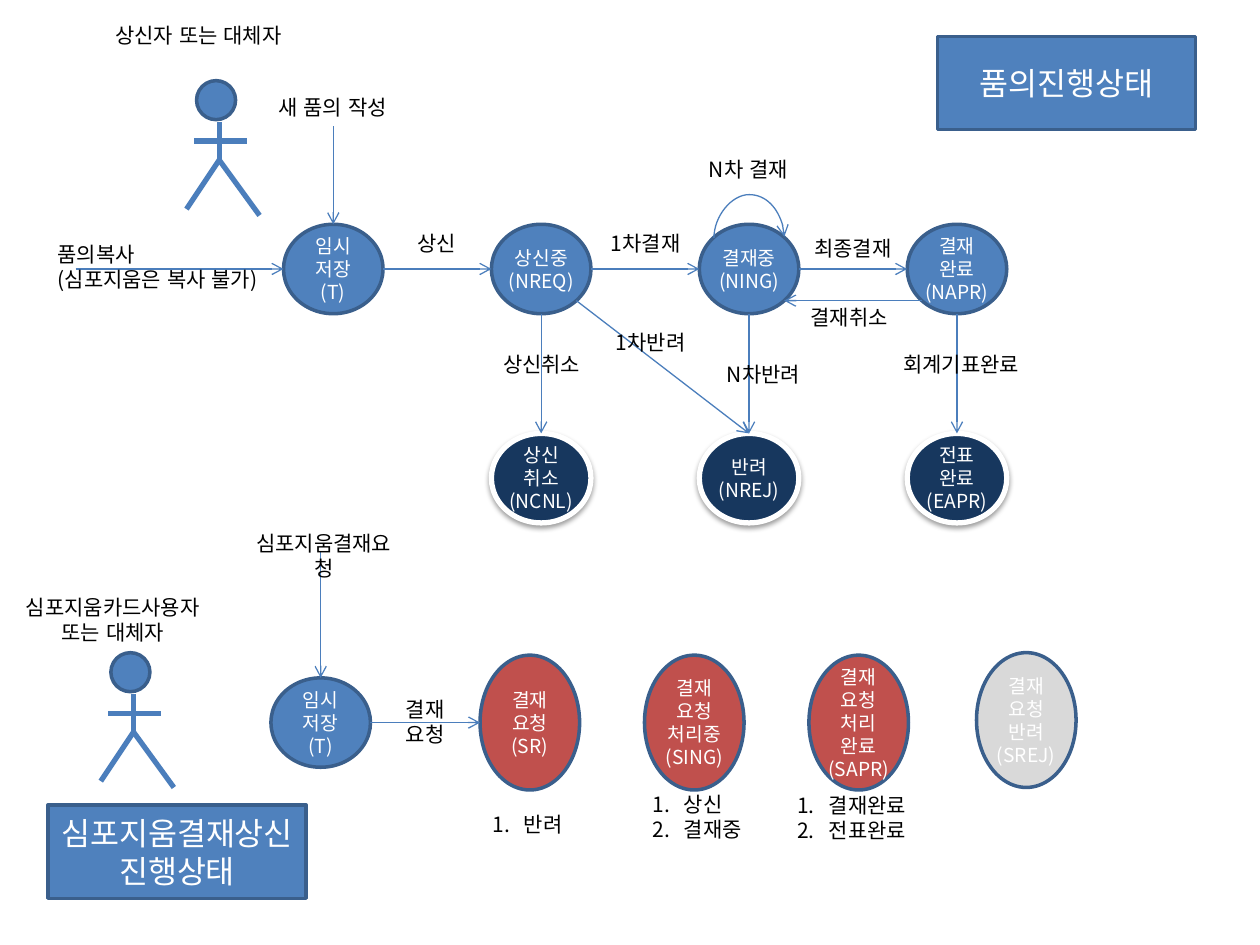
import math
import lxml.etree
import pptx
import pptx.dml.color
import pptx.enum.dml
import pptx.enum.lang
import pptx.enum.shapes
import pptx.enum.text
import pptx.oxml
import pptx.oxml.ns
import pptx.util

RGBColor = pptx.dml.color.RGBColor
BLUE = RGBColor(0x4F, 0x81, 0xBD)
OUTLINE = RGBColor(0x3A, 0x5F, 0x8C)
ARROW = RGBColor(0x4B, 0x7E, 0xBC)
NAVY = RGBColor(0x17, 0x37, 0x5E)
RED = RGBColor(0xC0, 0x50, 0x4D)
GRAY = RGBColor(0xD9, 0xD9, 0xD9)
WHITE = RGBColor(0xFF, 0xFF, 0xFF)
BLACK = RGBColor(0, 0, 0)
FONT = "Noto Sans CJK KR"
MAIN_ROW, END_ROW = 1.78, 3.44
COLUMNS = [2.25 + 1.65 * column for column in range(4)]
REQUEST_COLUMNS = [3.81 + 1.305 * column for column in range(3)]
REQUEST_ROW = 5.2
OVAL_WIDTH, OVAL_HEIGHT, TALL_HEIGHT = 0.79, 0.71, 1.07

STATES = {
    "draft": (["임시", "저장", "(T)"], COLUMNS[0], MAIN_ROW, OVAL_HEIGHT, BLUE),
    "requested": (["상신중", "(NREQ)"], COLUMNS[1], MAIN_ROW, OVAL_HEIGHT, BLUE),
    "approving": (["결재중", "(NING)"], COLUMNS[2], MAIN_ROW, OVAL_HEIGHT, BLUE),
    "approved": (["결재", "완료", "(NAPR)"], COLUMNS[3], MAIN_ROW, OVAL_HEIGHT, BLUE),
    "cancelled": (["상신", "취소", "(NCNL)"], COLUMNS[1], END_ROW, OVAL_HEIGHT, NAVY),
    "rejected": (["반려", "(NREJ)"], COLUMNS[2], END_ROW, OVAL_HEIGHT, NAVY),
    "posted": (["전표", "완료", "(EAPR)"], COLUMNS[3], END_ROW, OVAL_HEIGHT, NAVY),
    "symposium draft": (["임시", "저장", "(T)"], 2.15, 5.38, OVAL_HEIGHT, BLUE),
    "symposium request": (["결재", "요청", "(SR)"], REQUEST_COLUMNS[0], REQUEST_ROW, TALL_HEIGHT, RED),
    "symposium approving": (["결재", "요청", "처리중", "(SING)"], REQUEST_COLUMNS[1], REQUEST_ROW, TALL_HEIGHT, RED),
    "symposium approved": (["결재", "요청", "처리", "완료", "(SAPR)"], REQUEST_COLUMNS[2], REQUEST_ROW, TALL_HEIGHT, RED),
    "symposium rejected": (["결재", "요청", "반려", "(SREJ)"], 7.75, 5.18, TALL_HEIGHT, GRAY),
}
ANGLES = {"right": 0, "lower right": 45, "bottom": 90, "lower left": 135,
          "left": 180, "upper left": 225, "top": 270, "upper right": 315}
TRANSITIONS = [
    ("draft", "right", "requested", "left"),
    ("requested", "right", "approving", "left"),
    ("approving", "right", "approved", "left"),
    ("requested", "bottom", "cancelled", "top"),
    ("requested", "lower right", "rejected", "top"),
    ("approving", "bottom", "rejected", "top"),
    ("approved", "bottom", "posted", "top"),
    ("approved", "lower left", "approving", "lower right"),
    ("symposium draft", "right", "symposium request", "left"),
]
ENTRIES = [("draft", "left", 1.65), ("draft", "top", 0.78), ("symposium draft", "top", 1.0)]

LABELS = [
    ("상신자 또는 대체자", 0.72, 0.13, 1.71, 0.3),
    ("새 품의 작성", 1.97, 0.7, 1.34, 0.3),
    ("상신", 3.19, 1.78, 0.55, 0.3),
    ("1차결재", 4.69, 1.78, 0.87, 0.3),
    ("N차 결재", 5.31, 1.19, 1.26, 0.3),
    ("최종결재", 6.18, 1.82, 1.18, 0.3),
    ("결재취소", 6.15, 2.37, 1.18, 0.3),
    ("상신취소", 3.63, 2.74, 1.34, 0.3),
    ("1차반려", 4.76, 2.57, 0.81, 0.3),
    ("N차반려", 5.39, 2.82, 1.34, 0.3),
    ("회계기표완료", 6.96, 2.74, 1.34, 0.3),
    ("심포지움결재요청", 1.9, 4.16, 1.34, 0.5),
    ("심포지움카드사용자 또는 대체자", 0.04, 4.67, 1.71, 0.5),
    ("결재요청", 3.1, 5.48, 0.55, 0.5),
]
COPY_NOTE = (["품의복사", "(심포지움은 복사 불가)"], 0.36, 1.87, 1.94, 0.5)
NUMBERED_LISTS = [
    (["반려"], 3.81, 6.39, 0.79, 0.3),
    (["상신", "결재중"], 5.08, 6.23, 0.96, 0.5),
    (["결재완료", "전표완료"], 6.23, 6.24, 1.13, 0.5),
]
TITLES = [("품의진행상태", 7.44, 0.29), ("심포지움결재상신 진행상태", 0.38, 6.39)]
ACTORS = [(1.56, 0.64), (0.88, 5.18)]
LIMBS = [(-0.02, 0.48, 0.4, 0.48), (0.18, 0.63, 0.18, 0.33),
         (0.5, 1.07, 0.18, 0.63), (-0.08, 1.02, 0.18, 0.63)]

inches = pptx.util.Inches
CENTER = pptx.enum.text.PP_ALIGN.CENTER
presentation = pptx.Presentation()
presentation.slide_width, presentation.slide_height = inches(10), inches(7.5)
slide = presentation.slides.add_slide(presentation.slide_layouts[6])


def add_element(parent, tag, **attributes):
    element = lxml.etree.SubElement(parent, pptx.oxml.ns.qn(tag))
    for name, value in attributes.items():
        element.set(name, str(value))
    return element


def write_text(frame, lines, size, color, alignment=None, numbered=False):
    for index, line in enumerate(lines):
        paragraph = frame.add_paragraph() if index else frame.paragraphs[0]
        paragraph.alignment = alignment
        if numbered:
            properties = paragraph._p.get_or_add_pPr()
            properties.set("marL", str(inches(0.25)))
            properties.set("indent", str(-inches(0.25)))
            add_element(properties, "a:buAutoNum", type="arabicPeriod")
        run = paragraph.add_run()
        run.text = line
        run.font.size = pptx.util.Pt(size)
        run.font.name = FONT
        run.font.language_id = pptx.enum.lang.MSO_LANGUAGE_ID.KOREAN
        run.font.color.rgb = color
        add_element(run.font._element, "a:ea", typeface=FONT)


def add_text(lines, left, top, width, height, wrap=False, **options):
    frame = slide.shapes.add_textbox(*map(inches, (left, top, width, height))).text_frame
    frame.word_wrap = wrap
    frame.auto_size = pptx.enum.text.MSO_AUTO_SIZE.SHAPE_TO_FIT_TEXT
    write_text(frame, lines, 12, BLACK, **options)


def add_box(shapes, kind, left, top, width, height, fill, line=OUTLINE, weight=2):
    shape = shapes.add_shape(kind, *map(inches, (left, top, width, height)))
    shape.shadow.inherit = False
    shape.fill.solid()
    shape.fill.fore_color.rgb = fill
    shape.line.color.rgb = line
    shape.line.width = pptx.util.Pt(weight)
    return shape


def add_line(shapes, ends, weight=0.75, arrow=True, kind=pptx.enum.shapes.MSO_CONNECTOR.STRAIGHT):
    connector = shapes.add_connector(kind, *map(inches, ends))
    connector.line.color.rgb = ARROW
    connector.line.width = pptx.util.Pt(weight)
    if arrow:
        add_element(connector.line._get_or_add_ln(), "a:tailEnd", type="arrow")
    add_element(connector._element.spPr, "a:effectLst")
    return connector


def state_point(name, side):
    _, left, top, height, _ = STATES[name]
    angle = math.radians(ANGLES[side])
    return (left + OVAL_WIDTH / 2 * (1 + math.cos(angle)),
            top + height / 2 * (1 + math.sin(angle)))


OVAL = pptx.enum.shapes.MSO_SHAPE.OVAL
for lines, left, top, height, fill in STATES.values():
    final = fill == NAVY
    oval = add_box(slide.shapes, OVAL, left, top, OVAL_WIDTH, height, fill,
                   WHITE if final else OUTLINE, 3 if final else 2)
    if final:
        effects = oval._element.spPr.find(pptx.oxml.ns.qn("a:effectLst"))
        shadow = add_element(effects, "a:outerShdw", blurRad=pptx.util.Pt(3.1),
                             dist=pptx.util.Pt(1.6), dir=5400000, rotWithShape=0)
        add_element(add_element(shadow, "a:srgbClr", val=BLACK), "a:alpha", val=38000)
    frame = oval.text_frame
    frame.margin_left = frame.margin_right = frame.margin_top = frame.margin_bottom = 0
    frame.vertical_anchor = pptx.enum.text.MSO_ANCHOR.MIDDLE
    write_text(frame, lines, 11, WHITE, CENTER)

for source, source_side, target, target_side in TRANSITIONS:
    add_line(slide.shapes, state_point(source, source_side) + state_point(target, target_side))
for target, side, length in ENTRIES:
    x, y = state_point(target, side)
    start = (x - length, y) if side == "left" else (x, y - length)
    add_line(slide.shapes, start + (x, y))

loop_left, loop_y = state_point("approving", "upper left")
loop_right, _ = state_point("approving", "upper right")
middle, half = (loop_left + loop_right) / 2, (loop_right - loop_left) / 2
loop = add_line(slide.shapes, (middle + 0.005, loop_y + half, middle - 0.005, loop_y - half),
                kind=pptx.enum.shapes.MSO_CONNECTOR.CURVE)
loop._element.spPr.xfrm.set("rot", "5400000")
geometry = loop._element.spPr.find(pptx.oxml.ns.qn("a:prstGeom"))
for guides in geometry.findall(pptx.oxml.ns.qn("a:avLst")):
    geometry.remove(guides)
add_element(add_element(geometry, "a:avLst"), "a:gd", name="adj1", fmla="val 3500000")

for left, top in ACTORS:
    actor = slide.shapes.add_group_shape()
    add_box(actor.shapes, OVAL, left, top, 0.31, 0.31, BLUE)
    for x1, y1, x2, y2 in LIMBS:
        add_line(actor.shapes, (left + x1, top + y1, left + x2, top + y2), 3, False)

for text, *place in LABELS:
    add_text([text], *place, wrap=True, alignment=CENTER)
add_text(*COPY_NOTE)
for numbered_list in NUMBERED_LISTS:
    add_text(*numbered_list, numbered=True)

for title, left, top in TITLES:
    box = add_box(slide.shapes, pptx.enum.shapes.MSO_SHAPE.RECTANGLE, left, top, 2.05, 0.74, BLUE)
    box.text_frame.word_wrap = True
    box.text_frame.vertical_anchor = pptx.enum.text.MSO_ANCHOR.MIDDLE
    write_text(box.text_frame, [title], 18, WHITE, CENTER)

presentation.save("out.pptx")
